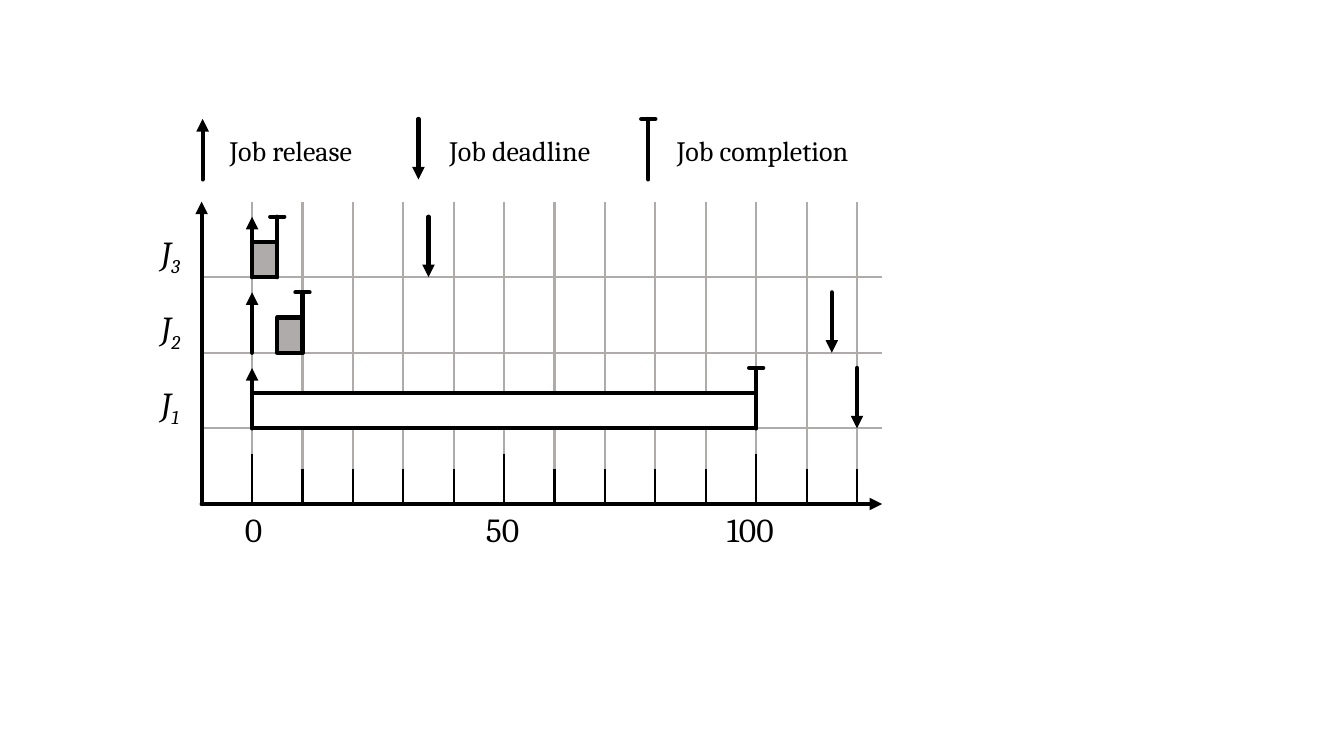
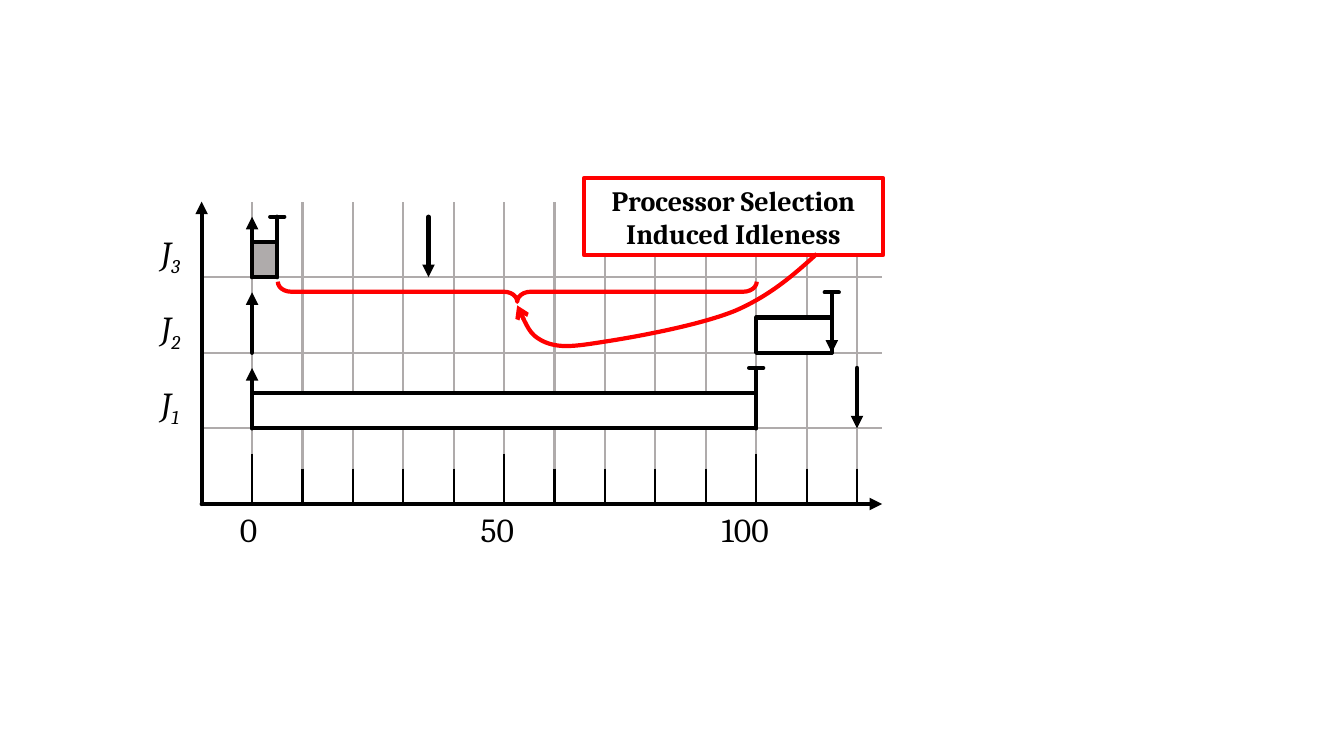
from lxml.etree import SubElement
from pptx import Presentation
from pptx.dml.color import RGBColor
from pptx.enum.shapes import MSO_CONNECTOR, MSO_SHAPE
from pptx.enum.text import MSO_ANCHOR, MSO_AUTO_SIZE, PP_ALIGN
from pptx.oxml.ns import qn
from pptx.util import Inches, Pt

BLACK, GRAY, WHITE, RED = "000000", "AFABAB", "FFFFFF", "FF0000"
FONT = "Cambria"
THIN, THICK = 1.5, 3
AXIS_X, AXIS_Y, AXIS_TOP, AXIS_END = 2, 5, 2, 8.75
MARKER_HEIGHT, CAP_HALF, BAR_HEIGHT = 0.6, 0.07, 0.35
DEADLINES = {1: 120, 2: 115, 3: 35}


def color(hex_code):
    """Turn a hex string into a colour."""
    return RGBColor.from_string(hex_code)


def time_x(time):
    """Horizontal place of a time on the axis."""
    return 2.5 + time / 20


def job_y(job):
    """Baseline of a job's row."""
    return AXIS_Y - 0.75 * job


class ScheduleChart:
    """Draws schedule elements on the current slide."""

    def __init__(self, presentation):
        """Keep the presentation; no slide is open yet."""
        self.presentation = presentation
        self.slide = None

    def new_slide(self):
        """Open a blank slide."""
        blank = self.presentation.slide_layouts[6]
        self.slide = self.presentation.slides.add_slide(blank)

    def outline(self, shape, hex_code, width, tail=None):
        """Set the line of a shape, with an optional arrowhead at its end."""
        shape.line.color.rgb = color(hex_code)
        shape.line.width = Pt(width)
        if tail:
            SubElement(shape.line._get_or_add_ln(), qn("a:tailEnd"), type=tail)

    def line(self, start, end, hex_code=BLACK, width=THICK, tail=None):
        """Draw a straight line; thick ones have round ends."""
        points = [Inches(value) for value in (*start, *end)]
        connector = self.slide.shapes.add_connector(MSO_CONNECTOR.STRAIGHT, *points)
        self.outline(connector, hex_code, width, tail)
        if width == THICK:
            connector.line._get_or_add_ln().set("cap", "rnd")
        SubElement(connector._element.spPr, qn("a:effectLst"))

    def shape(self, preset, box, line_color, fill=None):
        """Draw a preset shape with a thick outline."""
        shape = self.slide.shapes.add_shape(preset, *map(Inches, box))
        shape.shadow.inherit = False
        if fill:
            shape.fill.solid()
            shape.fill.fore_color.rgb = color(fill)
        else:
            shape.fill.background()
        self.outline(shape, line_color, THICK)
        return shape

    def run(self, paragraph, text, size, bold=False, italic=False):
        """Add one run in the shared font."""
        run = paragraph.add_run()
        run.text = text
        run.font.name, run.font.size = FONT, Pt(size)
        run.font.bold, run.font.italic = bold, italic
        run.font.color.rgb = color(BLACK)
        return run

    def text_box(self, box, wrap, anchor=MSO_ANCHOR.MIDDLE):
        """Add an empty text box and return its paragraph."""
        frame = self.slide.shapes.add_textbox(*map(Inches, box)).text_frame
        frame.word_wrap = wrap
        frame.vertical_anchor = anchor
        if not wrap:
            frame.auto_size = MSO_AUTO_SIZE.SHAPE_TO_FIT_TEXT
        return frame.paragraphs[0]

    def release(self, x, base):
        """Upward arrow of a job release."""
        self.line((x, base), (x, base - MARKER_HEIGHT), tail="triangle")

    def deadline(self, x, base):
        """Downward arrow of a job deadline."""
        self.line((x, base - MARKER_HEIGHT), (x, base), tail="triangle")

    def completion(self, x, base):
        """Capped line of a job completion."""
        top = base - MARKER_HEIGHT
        self.line((x, base), (x, top))
        self.line((x - CAP_HALF, top), (x + CAP_HALF, top))

    def job_label(self, job):
        """Name of a job with its number as subscript."""
        label = self.text_box((1.5, job_y(job) - 0.5, 0.49, 0.5), False, MSO_ANCHOR.TOP)
        self.run(label, "J", 24, italic=True)
        number = self.run(label, str(job), 24, italic=True)
        number.font._element.set("baseline", "-25000")

    def frame(self, label_left):
        """Grid, axes, releases, job names and time scale."""
        times = range(0, 121, 10)
        for time in times:
            x = time_x(time)
            self.line((x, AXIS_Y), (x, AXIS_TOP), GRAY, THIN)
        for job in DEADLINES:
            self.line((AXIS_X, job_y(job)), (AXIS_END, job_y(job)), GRAY, THIN)
        for end in ((AXIS_END, AXIS_Y), (AXIS_X, AXIS_TOP)):
            self.line((AXIS_X, AXIS_Y), end, tail="triangle")
        for job in DEADLINES:
            self.release(time_x(0), job_y(job))
            self.job_label(job)
        for time in times:
            x, height = time_x(time), 0.35 if time % 50 else 0.5
            self.line((x, AXIS_Y - height), (x, AXIS_Y), width=THIN)
        for index, time in enumerate(("0", "50", "100")):
            box = (label_left + 2.39 * index, AXIS_Y, 0.2 + 0.17 * len(time), 0.5)
            self.run(self.text_box(box, False), time, 24)

    def schedule(self, label_left, executions):
        """Whole chart from job: (start, finish, fill)."""
        self.frame(label_left)
        for job, (start, finish, fill) in executions.items():
            box = (time_x(start), job_y(job) - BAR_HEIGHT, (finish - start) / 20, BAR_HEIGHT)
            self.shape(MSO_SHAPE.RECTANGLE, box, BLACK, fill)
        for job, time in DEADLINES.items():
            self.deadline(time_x(time), job_y(job))
        for job, (_, finish, _) in executions.items():
            self.completion(time_x(finish), job_y(job))

    def legend(self):
        """Key to the three markers."""
        entries = (
            (self.release, 2.01, "Job release", 2.03, 1.71),
            (self.deadline, 4.15, "Job deadline", 4.16, 1.99),
            (self.completion, 6.43, "Job completion", 6.4, 2.33),
        )
        for marker, x, meaning, left, width in entries:
            marker(x, 1.78)
            paragraph = self.text_box((left, 1.18, width, 0.62), True)
            paragraph.alignment = PP_ALIGN.CENTER
            self.run(paragraph, meaning, 20)

    def idle_brace(self):
        """Brace under the idle interval, opening upwards."""
        brace = self.shape(MSO_SHAPE.LEFT_BRACE, (5.03, 0.52, 0.2, 4.75), RED)
        brace.rotation = 270
        brace._element.spPr.xfrm.set("flipV", "1")
        brace.adjustments[0], brace.adjustments[1] = 0.667, 0.5

    def callout(self, box, text):
        """Framed bold remark."""
        callout = self.shape(MSO_SHAPE.RECTANGLE, box, RED, WHITE)
        callout.text_frame.word_wrap = True
        callout.text_frame.vertical_anchor = MSO_ANCHOR.MIDDLE
        paragraph = callout.text_frame.paragraphs[0]
        paragraph.alignment = PP_ALIGN.CENTER
        self.run(paragraph, text, 20, bold=True)

    def curved_arrow(self, start, controls):
        """Arrow of Bezier curves; each takes three of the points."""
        builder = self.slide.shapes.build_freeform(*map(Inches, start))
        points = [(Inches(x), Inches(y)) for x, y in controls]
        builder.add_line_segments(points, close=False)
        arrow = builder.convert_to_shape()
        arrow.shadow.inherit = False
        arrow.fill.background()
        self.outline(arrow, RED, THICK, "arrow")
        segments = list(arrow._element.iter(qn("a:lnTo")))
        for first in range(0, len(segments), 3):
            curve = SubElement(segments[first].getparent(), qn("a:cubicBezTo"))
            for segment in segments[first:first + 3]:
                curve.append(segment[0])
                segment.getparent().remove(segment)


def main():
    """Build both schedules."""
    presentation = Presentation()
    presentation.slide_width, presentation.slide_height = Inches(13.33), Inches(7.5)
    chart = ScheduleChart(presentation)

    chart.new_slide()
    chart.schedule(2.33, {1: (0, 100, WHITE), 2: (5, 10, GRAY), 3: (0, 5, GRAY)})
    chart.legend()

    chart.new_slide()
    chart.schedule(2.28, {1: (0, 100, WHITE), 2: (100, 115, WHITE), 3: (0, 5, GRAY)})
    chart.idle_brace()
    chart.callout((5.79, 1.77, 2.97, 0.76), "Processor Selection Induced Idleness")
    chart.curved_arrow((8.1, 2.52), (
        (7.87, 2.73), (7.64, 2.93), (7.3, 3.08),
        (6.96, 3.22), (6.37, 3.33), (6.06, 3.38),
        (5.74, 3.43), (5.58, 3.46), (5.42, 3.4),
        (5.27, 3.34), (5.2, 3.19), (5.13, 3.03),
    ))

    presentation.save("out.pptx")


main()
